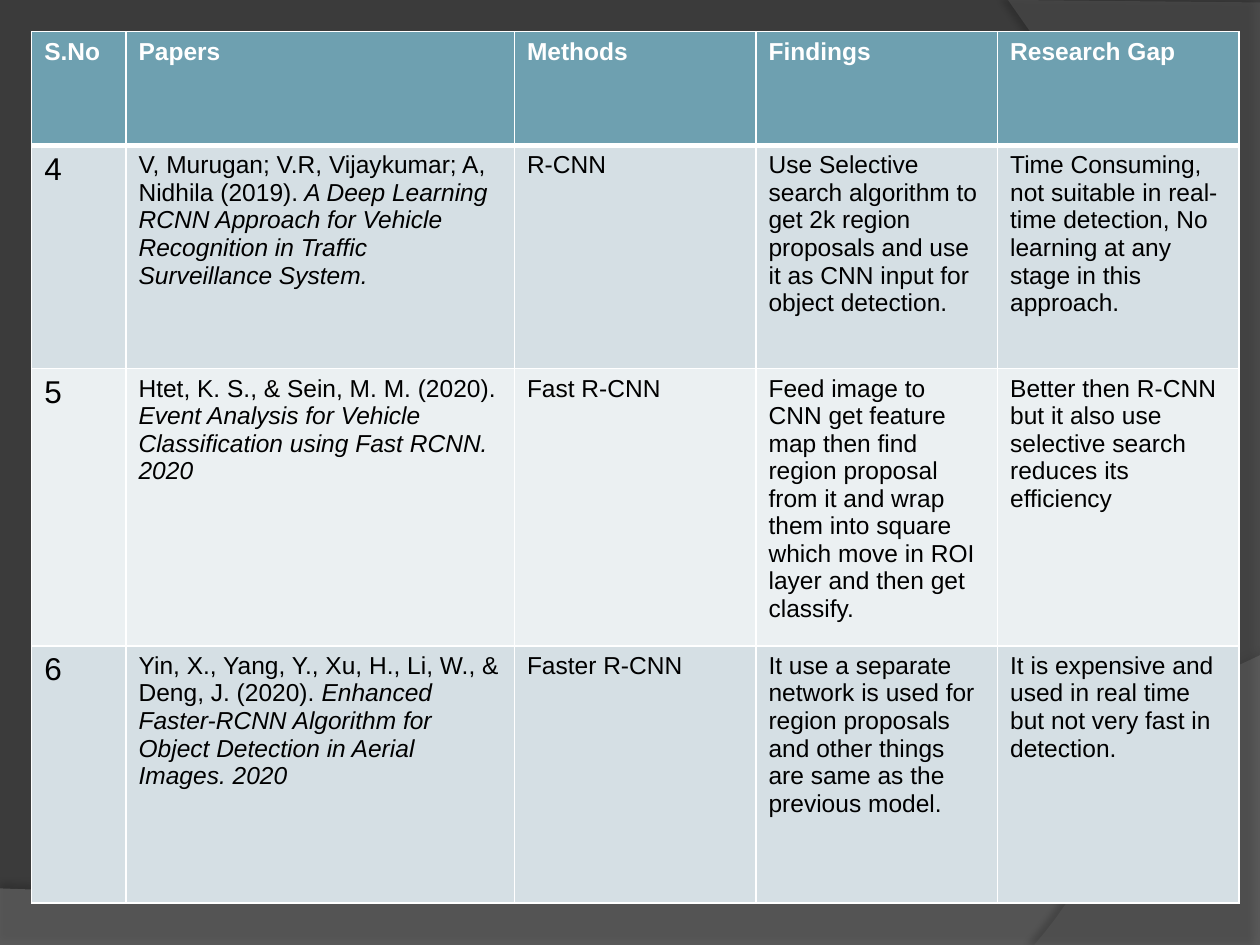
from dataclasses import dataclass

from lxml import etree
from pptx import Presentation
from pptx import util as u
from pptx.dml import color
from pptx.oxml import ns


@dataclass(frozen=True)
class Theme:
    font: str = "Arial"
    background: str = "3B3B3B"
    wave: str = "7F7F7F"
    side: str = "5E5E5E"
    shadow: str = "000000"
    header: str = "6EA0B0"
    bands: tuple = ("D5DFE4", "EBF0F2")
    border: str = "FFFFFF"
    header_text: str = "FFFFFF"
    body_text: str = "000000"
    text_size: float = 14
    number_size: float = 18
    thin: float = 1
    thick: float = 3


THEME = Theme()
COLUMN_WIDTHS = (1.9, 7.83, 4.87, 4.87, 4.87)
ROW_HEIGHTS = (2.29, 4.5, 5.59, 5.18)
HEADINGS = ("S.No", "Papers", "Methods", "Findings", "Research Gap")
PAPERS = (
    ("4",
     ("V, Murugan; V.R, Vijaykumar; A, Nidhila (2019).",
      " A Deep Learning RCNN Approach for Vehicle Recognition in Traffic "
      "Surveillance System."),
     "R-CNN",
     "Use Selective search algorithm to get 2k region proposals and use it as "
     "CNN input for object detection.",
     "Time Consuming, not suitable in real-time detection, No learning at any "
     "stage in this approach."),
    ("5",
     ("Htet, K. S., & Sein, M. M. (2020). ",
      "Event Analysis for Vehicle Classification using Fast RCNN. 2020"),
     "Fast R-CNN",
     "Feed image to CNN get feature map then find region proposal from it and "
     "wrap them into square which move in ROI layer and then get classify.",
     "Better then R-CNN but it also use selective search reduces its efficiency"),
    ("6",
     ("Yin, X., Yang, Y., Xu, H., Li, W., & Deng, J. (2020). ",
      "Enhanced Faster-RCNN Algorithm for Object Detection in Aerial Images. 2020"),
     "Faster R-CNN",
     "It use a separate network is used for region proposals and other things "
     "are same as the previous model.",
     "It is expensive and used in real time but not very fast in detection."),
)


def rgb(value):
    return color.RGBColor.from_string(value)


def set_attributes(target, values):
    for name, value in values.items():
        setattr(target, name, value)


def add_element(parent, tag, **attributes):
    return etree.SubElement(parent, ns.qn(tag), attributes)


def set_fill(target, value):
    target.fill.solid()
    target.fill.fore_color.rgb = rgb(value)


def curve_points(start, first, second, end, steps=40):
    for step in range(1, steps + 1):
        t = step / steps
        weights = ((1 - t) ** 3, 3 * t * (1 - t) ** 2, 3 * t * t * (1 - t), t ** 3)
        yield tuple(sum(w * point[axis] for w, point in
                        zip(weights, (start, first, second, end)))
                    for axis in (0, 1))


def add_shadow(shape, opacity, distance, direction):
    effects = add_element(shape._element.spPr, "a:effectLst")
    shadow = add_element(effects, "a:outerShdw", blurRad=str(u.Pt(4)),
                         dist=str(u.Pt(distance)), dir=str(direction * 60000),
                         algn="ctr", rotWithShape="0")
    shade = add_element(shadow, "a:srgbClr", val=THEME.shadow)
    add_element(shade, "a:alpha", val=str(opacity * 1000))


def add_backdrop(slide, corners, curve, fill, opacity, shadow):
    points = [(u.Cm(x), u.Cm(y))
              for x, y in (*corners, *curve_points(corners[-1], *curve))]
    builder = slide.shapes.build_freeform(*points[0], scale=1.0)
    builder.add_line_segments(points[1:], close=True)
    shape = builder.convert_to_shape()
    set_fill(shape, fill)
    fill_color = shape._element.spPr.find(".//" + ns.qn("a:srgbClr"))
    add_element(fill_color, "a:alpha", val=str(opacity * 1000))
    shape.line.fill.background()
    add_shadow(shape, *shadow)


def set_borders(cell, row):
    widths = {"L": THEME.thin, "R": THEME.thin,
              "T": THEME.thick if row == 1 else THEME.thin,
              "B": THEME.thick if row == 0 else THEME.thin}
    properties = cell._tc.get_or_add_tcPr()
    for side, width in widths.items():
        line = add_element(properties, "a:ln" + side, w=str(u.Pt(width)))
        add_element(add_element(line, "a:solidFill"), "a:srgbClr", val=THEME.border)


def fill_cell(cell, content, row, column):
    is_header = row == 0
    set_borders(cell, row)
    set_fill(cell, THEME.header if is_header else THEME.bands[(row - 1) % 2])
    is_number = column == 0 and not is_header
    parts = (content,) if isinstance(content, str) else content
    paragraph = cell.text_frame.paragraphs[0]
    for index, part in enumerate(parts):
        run = paragraph.add_run()
        run.text = part
        set_attributes(run.font, {
            "name": THEME.font,
            "size": u.Pt(THEME.number_size if is_number else THEME.text_size),
            "bold": is_header,
            "italic": index == 1,
        })
        run.font.color.rgb = rgb(THEME.header_text if is_header else THEME.body_text)


def add_paper_table(slide):
    rows = (HEADINGS, *PAPERS)
    table = slide.shapes.add_table(
        len(rows), len(HEADINGS), u.Cm(0.64), u.Cm(0.64),
        u.Cm(sum(COLUMN_WIDTHS)), u.Cm(sum(ROW_HEIGHTS))).table
    for column, width in zip(table.columns, COLUMN_WIDTHS):
        column.width = u.Cm(width)
    for row, height in zip(table.rows, ROW_HEIGHTS):
        row.height = u.Cm(height)
    for row, contents in enumerate(rows):
        for column, content in enumerate(contents):
            fill_cell(table.cell(row, column), content, row, column)


def main():
    presentation = Presentation()
    set_attributes(presentation, {"slide_width": u.Cm(25.4),
                                  "slide_height": u.Cm(19.05)})
    slide = presentation.slides.add_slide(presentation.slide_layouts[6])
    set_fill(slide.background, THEME.background)
    add_backdrop(slide, ((0, 17.91), (0, 19.07), (25.4, 19.07), (25.4, 13.21)),
                 ((14.2, 18.52), (9.93, 18.26), (0, 17.91)),
                 THEME.wave, 45, (35, 3.5, 270))
    add_backdrop(slide, ((25.4, 0.05), (25.4, 19.05), (20.85, 19.05)),
                 ((23.75, 15.72), (25.86, 7.62), (20.32, 0)),
                 THEME.side, 40, (45, 4, 180))
    add_paper_table(slide)
    presentation.save("out.pptx")


if __name__ == "__main__":
    main()
